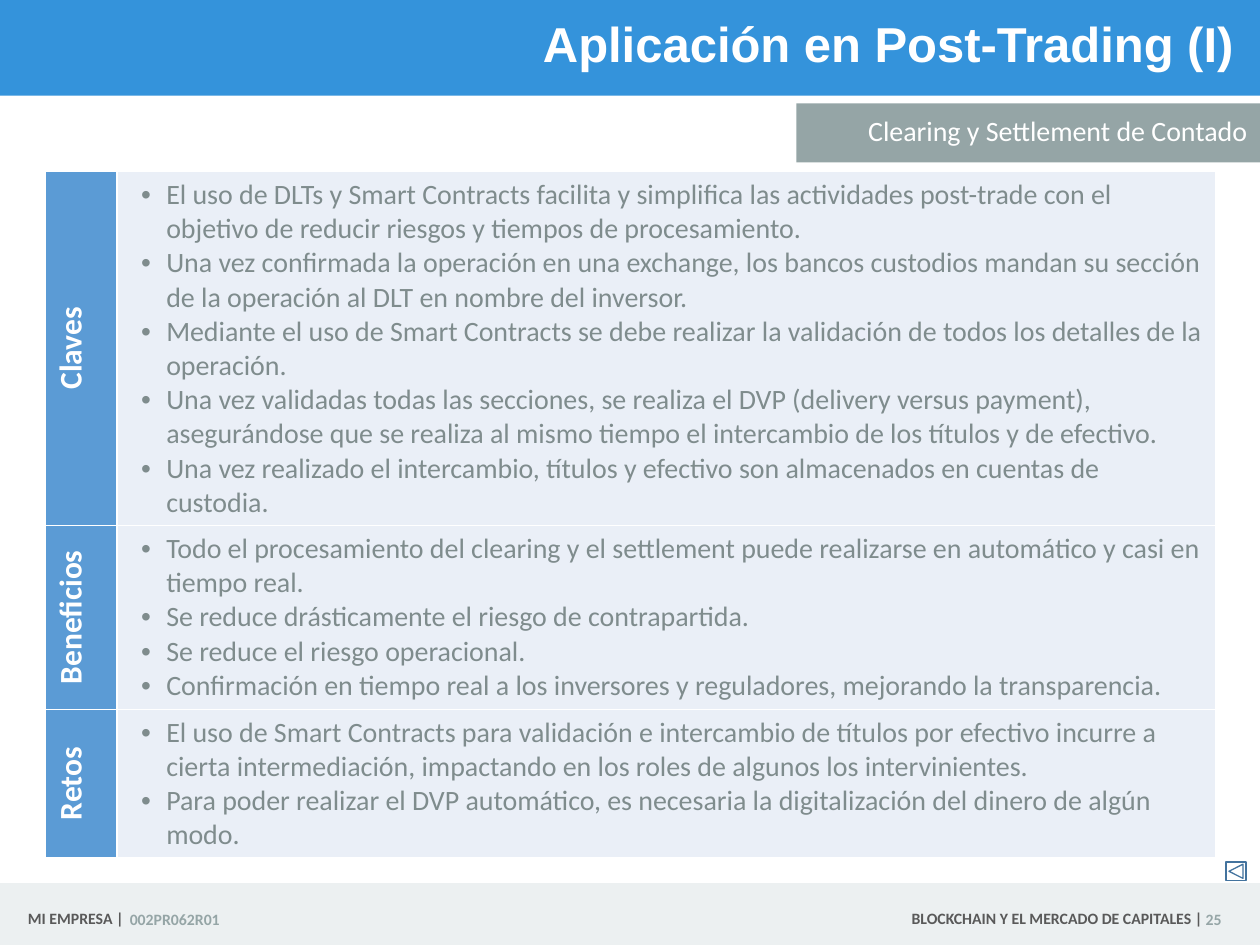
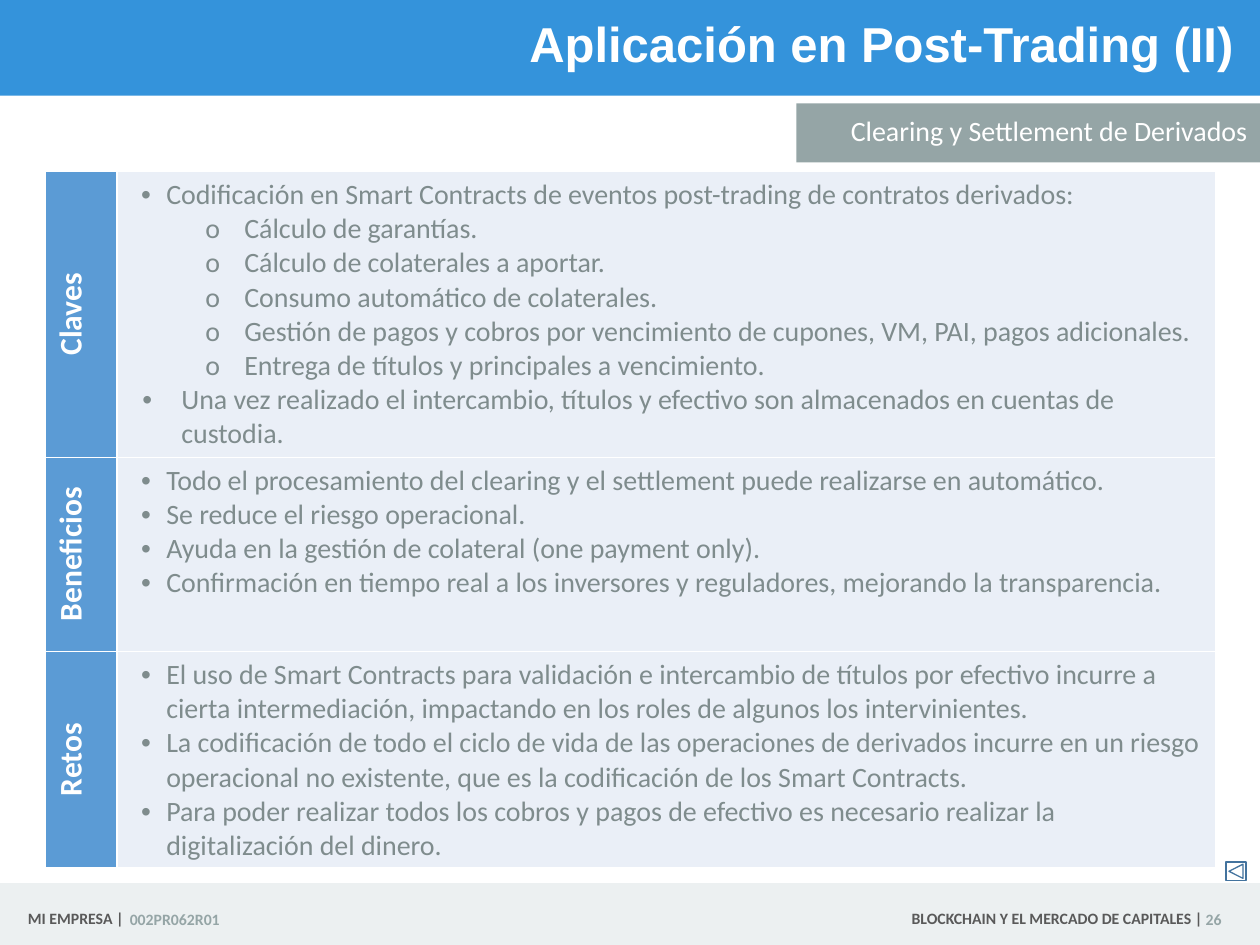
from pptx import Presentation
from pptx.dml.color import RGBColor
from pptx.enum.shapes import MSO_SHAPE
from pptx.enum.text import MSO_ANCHOR, MSO_AUTO_SIZE, PP_ALIGN
from pptx.oxml.ns import qn
from pptx.util import Inches, Pt
from lxml.etree import SubElement

BLUE = RGBColor(0x34, 0x93, 0xDB)
PALE = RGBColor(0xEC, 0xF0, 0xF1)
GRAY = RGBColor(0x95, 0xA5, 0xA6)
DARK = RGBColor(0x59, 0x59, 0x59)
WHITE = RGBColor(0xFF, 0xFF, 0xFF)
SIDE = RGBColor(0x5B, 0x9B, 0xD5)
CELL = RGBColor(0xEA, 0xEF, 0xF7)
BODY = RGBColor(0x7F, 0x8C, 0x8D)
EDGE = RGBColor(0x43, 0x73, 0x9E)

deck = Presentation()
deck.slide_width = Inches(10)
deck.slide_height = Inches(7.5)
COL = deck.slide_width // 100
ROW = deck.slide_height // 75

LEFT, RIGHT = PP_ALIGN.LEFT, PP_ALIGN.RIGHT
BANDS = [
    ((0, 0, 100, 7.6), BLUE),
    ((0, 70.1, 100, 4.9), PALE),
    ((63.2, 8.2, 36.8, 4.7), GRAY),
]
FOOT = [
    ("MI EMPRESA |", (0.9, 71.3, 8.9, 3.1), RIGHT, DARK),
    ("002PR062R01", (10.3, 71.4, 8.9, 3.1), LEFT, GRAY),
    ("BLOCKCHAIN Y EL MERCADO DE CAPITALES |", (61.6, 71.3, 33.8, 3.1), RIGHT, DARK),
]
LABELS = ["Claves", "Beneficios", "Retos"]
STYLES = {
    "main": (1, 0.29, -0.2, "•"),
    "sub": (2, 0.91, -0.31, "o"),
    "wide": (1, 0.41, -0.31, "•"),
}

PAGES = [
    ("Aplicación en Post-Trading (I)", "Clearing y Settlement de Contado", 25, [28.1, 14.6, 11.8], [
        [
            ("main", "El uso de DLTs y Smart Contracts facilita y simplifica las actividades post-trade con el objetivo de reducir riesgos y tiempos de procesamiento."),
            ("main", "Una vez confirmada la operación en una exchange, los bancos custodios mandan su sección de la operación al DLT en nombre del inversor."),
            ("main", "Mediante el uso de Smart Contracts se debe realizar la validación de todos los detalles de la operación."),
            ("main", "Una vez validadas todas las secciones, se realiza el DVP (delivery versus payment), asegurándose que se realiza al mismo tiempo el intercambio de los títulos y de efectivo."),
            ("main", "Una vez realizado el intercambio, títulos y efectivo son almacenados en cuentas de custodia."),
        ],
        [
            ("main", "Todo el procesamiento del clearing y el settlement puede realizarse en automático y casi en tiempo real."),
            ("main", "Se reduce drásticamente el riesgo de contrapartida."),
            ("main", "Se reduce el riesgo operacional."),
            ("main", "Confirmación en tiempo real a los inversores y reguladores, mejorando la transparencia."),
        ],
        [
            ("main", "El uso de Smart Contracts para validación e intercambio de títulos por efectivo incurre a cierta intermediación, impactando en los roles de algunos los intervinientes."),
            ("main", "Para poder realizar el DVP automático, es necesaria la digitalización del dinero de algún modo."),
        ],
    ]),
    ("Aplicación en Post-Trading (II)", "Clearing y Settlement de Derivados", 26, [22.7, 15.4, 17.2], [
        [
            ("main", "Codificación en Smart Contracts de eventos post-trading de contratos derivados:"),
            ("sub", "Cálculo de garantías."),
            ("sub", "Cálculo de colaterales a aportar."),
            ("sub", "Consumo automático de colaterales."),
            ("sub", "Gestión de pagos y cobros por vencimiento de cupones, VM, PAI, pagos adicionales."),
            ("sub", "Entrega de títulos y principales a vencimiento."),
            ("wide", "Una vez realizado el intercambio, títulos y efectivo son almacenados en cuentas de custodia."),
        ],
        [
            ("main", "Todo el procesamiento del clearing y el settlement puede realizarse en automático."),
            ("main", "Se reduce el riesgo operacional."),
            ("main", "Ayuda en la gestión de colateral (one payment only)."),
            ("main", "Confirmación en tiempo real a los inversores y reguladores, mejorando la transparencia."),
        ],
        [
            ("main", "El uso de Smart Contracts para validación e intercambio de títulos por efectivo incurre a cierta intermediación, impactando en los roles de algunos los intervinientes."),
            ("main", "La codificación de todo el ciclo de vida de las operaciones de derivados incurre en un riesgo operacional no existente, que es la codificación de los Smart Contracts."),
            ("main", "Para poder realizar todos los cobros y pagos de efectivo es necesario realizar la digitalización del dinero."),
        ],
    ]),
]


def place(x, y, wide, high):
    return round(x * COL), round(y * ROW), round(wide * COL), round(high * ROW)


def write(para, text, size, color, bold=False, align=LEFT, face="Calibri"):
    para.alignment = align
    run = para.add_run()
    run.text = text
    run.font.size = Pt(size)
    run.font.name = face
    run.font.bold = bold
    run.font.color.rgb = color


for name, topic, page, highs, texts in PAGES:
    slide = deck.slides.add_slide(deck.slide_layouts[5])
    shapes = slide.shapes

    for area, color in BANDS:
        band = shapes.add_shape(MSO_SHAPE.RECTANGLE, *place(*area))
        band.shadow.inherit = False
        band.fill.solid()
        band.fill.fore_color.rgb = color
        band.line.fill.background()
    frame = band.text_frame
    frame.word_wrap = True
    frame.vertical_anchor = MSO_ANCHOR.MIDDLE
    frame.paragraphs[0].line_spacing = 0.9
    write(frame.paragraphs[0], topic, 16, WHITE, align=RIGHT)

    title = shapes.title
    title.left, title.top, title.width, title.height = place(37.8, 0.1, 61.1, 7.2)
    shapes._spTree.append(title._element)
    frame = title.text_frame
    frame.auto_size = MSO_AUTO_SIZE.NONE
    frame.vertical_anchor = MSO_ANCHOR.MIDDLE
    frame.paragraphs[0].line_spacing = 0.9
    write(frame.paragraphs[0], name, 28, WHITE, True, RIGHT, "Arial")

    number = (f" {page}", (95.4, 71.4, 3.5, 3.1), LEFT, GRAY)
    for text, area, align, color in FOOT + [number]:
        frame = shapes.add_textbox(*place(*area)).text_frame
        frame.word_wrap = True
        frame.vertical_anchor = MSO_ANCHOR.MIDDLE
        if align == RIGHT:
            frame.margin_right = 0
        else:
            frame.margin_left = 0
        write(frame.paragraphs[0], text, 9, color, True, align)

    table = shapes.add_table(3, 2, *place(3.6, 13.6, 92.9, sum(highs))).table
    table.first_row = False
    table.horz_banding = False
    table.columns[0].width = round(5.7 * COL)
    table.columns[1].width = round(87.2 * COL)
    for row, high, label, items in zip(table.rows, highs, LABELS, texts):
        row.height = round(high * ROW)
        for cell, color in zip(row.cells, (SIDE, CELL)):
            props = cell._tc.get_or_add_tcPr()
            for edge in ("a:lnL", "a:lnR", "a:lnT", "a:lnB"):
                line = SubElement(props, qn(edge), w=str(Pt(1)))
                paint = SubElement(line, qn("a:solidFill"))
                SubElement(paint, qn("a:srgbClr"), val=str(WHITE))
            cell.fill.solid()
            cell.fill.fore_color.rgb = color
        head, body = row.cells
        head._tc.get_or_add_tcPr().set("vert", "vert270")
        write(head.text_frame.paragraphs[0], label, 18, WHITE, True, PP_ALIGN.CENTER)
        frame = body.text_frame
        for index, (kind, text) in enumerate(items):
            para = frame.add_paragraph() if index else frame.paragraphs[0]
            level, margin, indent, mark = STYLES[kind]
            para.level = level
            write(para, text, 16, BODY)
            props = para._p.get_or_add_pPr()
            props.set("marL", str(Inches(margin)))
            props.set("indent", str(Inches(indent)))
            SubElement(props, qn("a:buFont"), typeface="Arial" if mark == "•" else "Calibri")
            SubElement(props, qn("a:buChar"), char=mark)

    back = shapes.add_shape(MSO_SHAPE.ACTION_BUTTON_BACK_OR_PREVIOUS, *place(97.3, 68.4, 1.6, 1.5))
    back.shadow.inherit = False
    back.fill.background()
    back.line.color.rgb = EDGE
    back.line.width = Pt(0.75)

deck.save("out.pptx")
